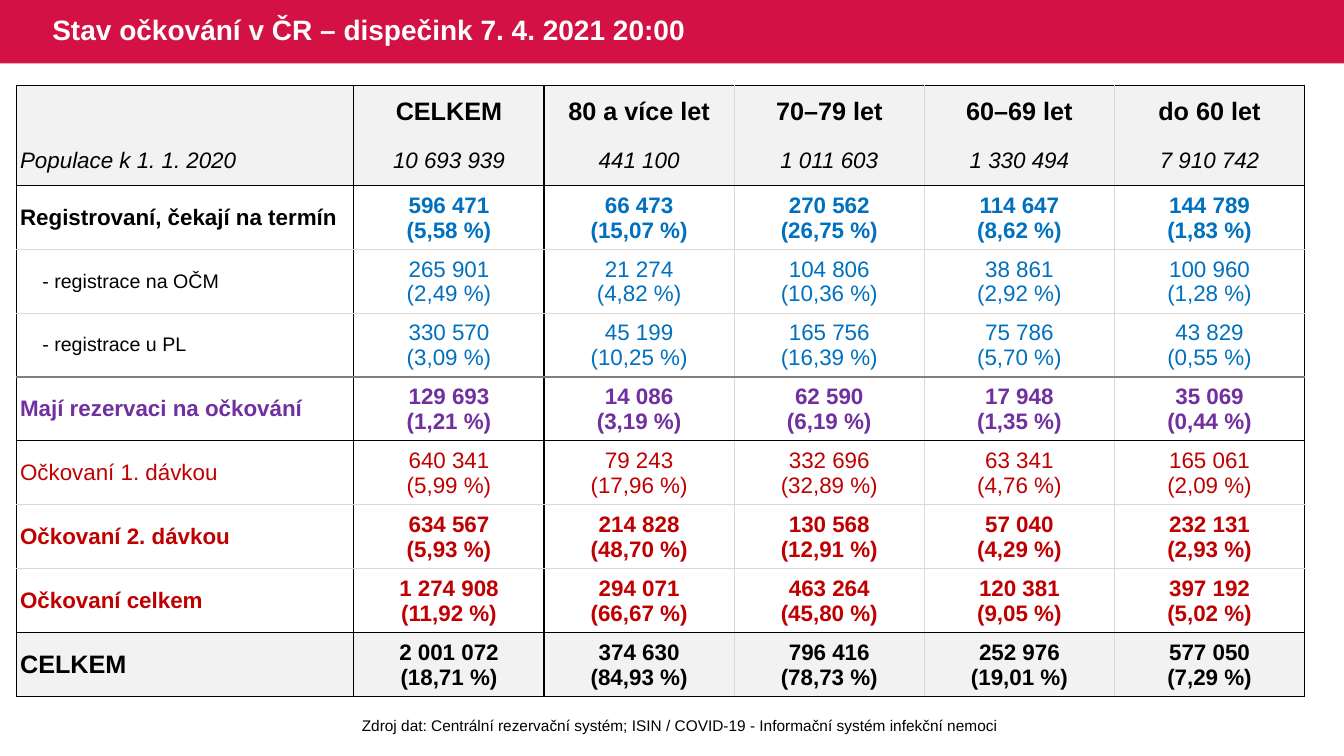
from copy import deepcopy
from lxml.etree import SubElement
from pptx import Presentation
from pptx.dml.color import RGBColor
from pptx.enum.shapes import MSO_SHAPE as Shape
from pptx.enum.text import MSO_ANCHOR as Anchor, MSO_AUTO_SIZE as AutoSize, PP_ALIGN as Align
from pptx.oxml.ns import qn
from pptx.util import Inches, Pt

BLACK, LIGHT, GREY = "000000", "D9D9D9", "808080"
BLUE, PURPLE, RED = "0070C0", "7030A0", "C00000"


def color(target, value):
    target.rgb = RGBColor.from_string(value)


def write(frame, text, value, **font_format):
    paragraph = frame.paragraphs[0]
    paragraph.text = text
    for run in paragraph.runs:
        for name, setting in {"name": "Arial", **font_format}.items():
            setattr(run.font, name, setting)
        color(run.font.color, value)
        for line_break in paragraph._p.findall(qn("a:br")):
            if len(line_break) == 0:
                line_break.append(deepcopy(run._r.rPr))
    return paragraph


presentation = Presentation()
presentation.slide_width, presentation.slide_height = Inches(13.33), Inches(7.5)
slide = presentation.slides.add_slide(presentation.slide_layouts[6])
band_height = Inches(0.63)

band = slide.shapes.add_shape(Shape.RECTANGLE, 0, 0, presentation.slide_width, band_height)
band.shadow.inherit = False
band.fill.solid()
color(band.fill.fore_color, "D31145")
band.line.fill.background()

title = slide.shapes.add_textbox(Inches(0.42), 0, Inches(7.21), band_height).text_frame
title.word_wrap = True
title.vertical_anchor = Anchor.MIDDLE
heading = write(title, "Stav očkování v ČR – dispečink 7. 4. 2021 20:00", "FFFFFF", size=Pt(20), bold=True)
heading.line_spacing = 0.9

bold, plain, italic = {"bold": True}, {"bold": False}, {"bold": False, "italic": True}
rows = [
    (["", "CELKEM", "80 a více let", "70–79 let", "60–69 let", "do 60 let"], BLACK, BLACK, 18, 18, bold),
    (["Populace k 1. 1. 2020", "10 693 939", "441 100", "1 011 603", "1 330 494", "7 910 742"],
     BLACK, BLACK, 16, 16, italic),
    (["Registrovaní, čekají na termín", "596 471\n(5,58 %)", "66 473\n(15,07 %)", "270 562\n(26,75 %)",
      "114 647\n(8,62 %)", "144 789\n(1,83 %)"], BLACK, BLUE, 16, 16, bold),
    (["- registrace na OČM", "265 901\n(2,49 %)", "21 274\n(4,82 %)", "104 806\n(10,36 %)",
      "38 861\n(2,92 %)", "100 960\n(1,28 %)"], BLACK, BLUE, 14, 16, plain),
    (["- registrace u PL", "330 570\n(3,09 %)", "45 199\n(10,25 %)", "165 756\n(16,39 %)",
      "75 786\n(5,70 %)", "43 829\n(0,55 %)"], BLACK, BLUE, 14, 16, plain),
    (["Mají rezervaci na očkování", "129 693\n(1,21 %)", "14 086\n(3,19 %)", "62 590\n(6,19 %)",
      "17 948\n(1,35 %)", "35 069\n(0,44 %)"], PURPLE, PURPLE, 16, 16, bold),
    (["Očkovaní 1. dávkou", "640 341\n(5,99 %)", "79 243\n(17,96 %)", "332 696\n(32,89 %)",
      "63 341\n(4,76 %)", "165 061\n(2,09 %)"], RED, RED, 16, 16, plain),
    (["Očkovaní 2. dávkou", "634 567\n(5,93 %)", "214 828\n(48,70 %)", "130 568\n(12,91 %)",
      "57 040\n(4,29 %)", "232 131\n(2,93 %)"], RED, RED, 16, 16, bold),
    (["Očkovaní celkem", "1 274 908\n(11,92 %)", "294 071\n(66,67 %)", "463 264\n(45,80 %)",
      "120 381\n(9,05 %)", "397 192\n(5,02 %)"], RED, RED, 16, 16, bold),
    (["CELKEM", "2 001 072\n(18,71 %)", "374 630\n(84,93 %)", "796 416\n(78,73 %)",
      "252 976\n(19,01 %)", "577 050\n(7,29 %)"], BLACK, BLACK, 18, 16, bold),
]
row_lines = [BLACK, None, BLACK, LIGHT, LIGHT, GREY, BLACK, LIGHT, LIGHT, BLACK, BLACK]
column_lines = [BLACK, BLACK, BLACK, LIGHT, LIGHT, LIGHT, BLACK]
shaded_rows = {0, 1, len(rows) - 1}

table_width, table_height, label_width = 12.78, 6.06, 3.35
header_heights = [0.51, 0.48]
column_widths = [label_width] + [(table_width - label_width) / 5] * 5
row_heights = header_heights + [(table_height - sum(header_heights)) / 8] * 8
table = slide.shapes.add_table(len(rows), 6, Inches(0.16), Inches(0.85),
                               Inches(table_width), Inches(table_height)).table
table.first_row = table.horz_banding = False
for column, width in zip(table.columns, column_widths):
    column.width = Inches(width)
for row, height in zip(table.rows, row_heights):
    row.height = Inches(height)

for row_index, (texts, label_color, value_color, label_size, value_size, style) in enumerate(rows):
    for column_index, text in enumerate(texts):
        cell = table.cell(row_index, column_index)
        is_label = column_index == 0
        side = 0.04 if is_label or row_index < 2 else 0.01
        indent = 0.22 if text.startswith("- ") else 0
        cell_format = {
            "vertical_anchor": Anchor.MIDDLE,
            "margin_left": Inches(side + indent),
            "margin_right": Inches(side),
            "margin_top": Inches(0.01 if side == 0.01 else 0),
            "margin_bottom": 0,
        }
        for name, setting in cell_format.items():
            setattr(cell, name, setting)

        borders = {
            "a:lnL": column_lines[column_index],
            "a:lnR": column_lines[column_index + 1],
            "a:lnT": row_lines[row_index],
            "a:lnB": row_lines[row_index + 1],
        }
        properties = cell._tc.get_or_add_tcPr()
        for tag, line_color in borders.items():
            line = SubElement(properties, qn(tag), w=str(Pt(1)))
            if line_color:
                SubElement(SubElement(line, qn("a:solidFill")), qn("a:srgbClr"), val=line_color)
            else:
                SubElement(line, qn("a:noFill"))
        if row_index in shaded_rows:
            cell.fill.solid()
            color(cell.fill.fore_color, "F2F2F2")
        else:
            cell.fill.background()

        paragraph = write(cell.text_frame, text, label_color if is_label else value_color,
                          size=Pt(label_size if is_label else value_size), **style)
        paragraph.alignment = Align.LEFT if is_label else Align.CENTER

source = slide.shapes.add_textbox(Inches(3.49), Inches(7.06), Inches(6.54), Inches(0.29)).text_frame
source.word_wrap = False
source.auto_size = AutoSize.SHAPE_TO_FIT_TEXT
write(source, "Zdroj dat: Centrální rezervační systém; ISIN / COVID-19 - Informační systém infekční nemoci",
      BLACK, size=Pt(11))

presentation.save("out.pptx")
